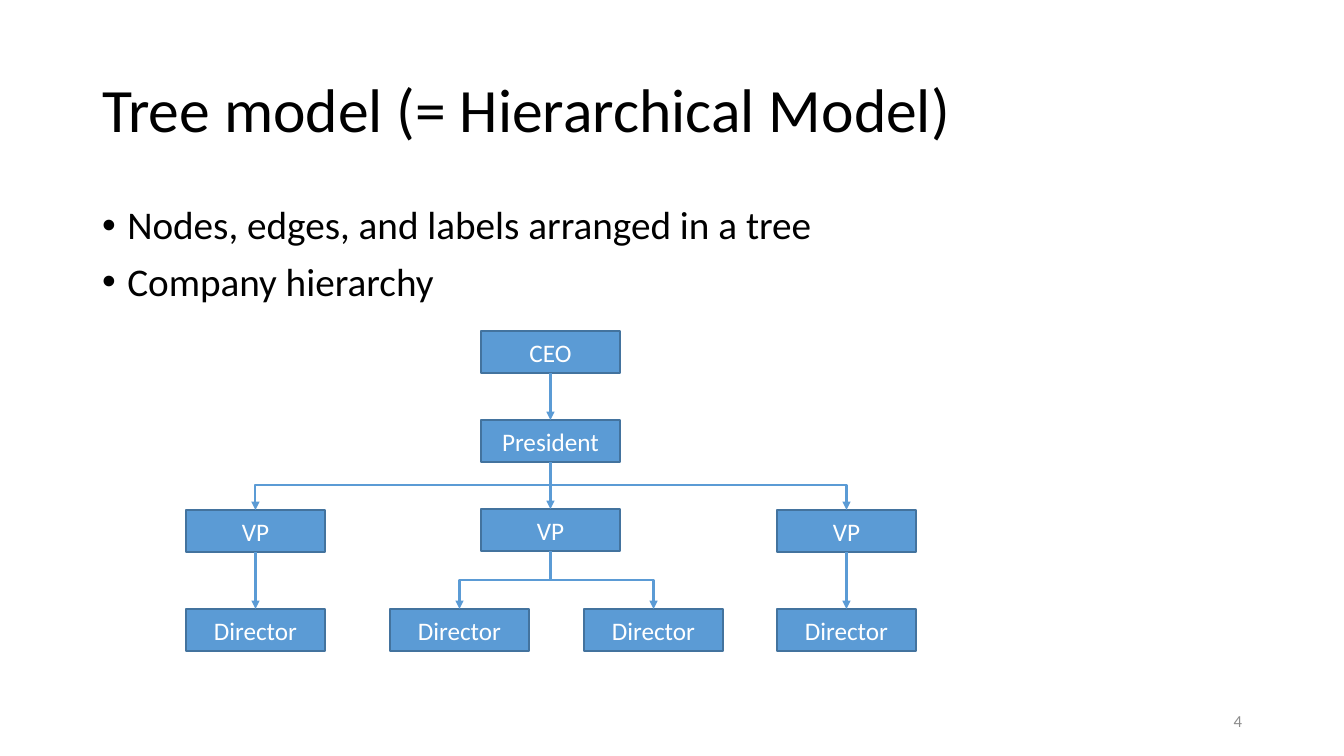
from lxml import etree
from pptx import Presentation, util as u
from pptx.dml.color import RGBColor
from pptx.enum import shapes, text
from pptx.oxml.ns import qn

TITLE = "Tree model (= Hierarchical Model)"
BULLETS = ["Nodes, edges, and labels arranged in a tree", "Company hierarchy"]
NUMBER = "4"
# key: (label, left, top)
NODES = {
    "ceo": ("CEO", 481, 331),
    "president": ("President", 481, 420),
    "vp_left": ("VP", 186, 510),
    "vp_mid": ("VP", 481, 509),
    "vp_right": ("VP", 777, 510),
    "dir_1": ("Director", 186, 609),
    "dir_2": ("Director", 390, 609),
    "dir_3": ("Director", 584, 609),
    "dir_4": ("Director", 777, 609),
}
STRAIGHT = [("ceo", "president"), ("president", "vp_mid"),
            ("vp_left", "dir_1"), ("vp_right", "dir_4")]
SIDE_BRANCHES = ["vp_left", "vp_right"]
FORKS = [("vp_mid", "dir_2"), ("vp_mid", "dir_3")]

NODE_W, NODE_H = 139, 42
BUS_Y = 485
FONT = "Calibri"
COLORS = {"text": "000000", "node": "5B9BD5", "edge": "43739E",
          "label": "FFFFFF", "number": "8C8C8C"}


def px(n):
    return u.Emu(round(n * 914400 / 100.8))


def rgb(name):
    return RGBColor.from_string(COLORS[name])


def place(sp, left, top, width, height):
    sp.left, sp.top, sp.width, sp.height = map(px, (left, top, width, height))


def style(p, size, color, align):
    p.alignment = align
    for r in p.runs:
        r.font.size = u.Pt(size)
        r.font.name = FONT
        r.font.color.rgb = rgb(color)


def add_node(label, left, top):
    sp = slide.shapes.add_shape(shapes.MSO_SHAPE.RECTANGLE,
                                px(left), px(top), px(NODE_W), px(NODE_H))
    sp.shadow.inherit = False
    sp.fill.solid()
    sp.fill.fore_color.rgb = rgb("node")
    sp.line.color.rgb = rgb("edge")
    sp.line.width = u.Pt(1)
    tf = sp.text_frame
    tf.text = label
    tf.vertical_anchor = text.MSO_ANCHOR.MIDDLE
    style(tf.paragraphs[0], 18, "label", text.PP_ALIGN.CENTER)
    return sp


def add_arrow(kind, x1, y1, x2, y2):
    c = slide.shapes.add_connector(kind, px(x1), px(y1), px(x2), px(y2))
    c.line.color.rgb = rgb("node")
    c.line.width = u.Pt(1.5)
    etree.SubElement(c.line._get_or_add_ln(), qn("a:tailEnd"), type="triangle")
    etree.SubElement(c._element.spPr, qn("a:effectLst"))
    return c


def bottom(key):
    _, left, top = NODES[key]
    return left + NODE_W / 2, top + NODE_H


def top_mid(key):
    _, left, top = NODES[key]
    return left + NODE_W / 2, top


def add_fork(parent, child):
    """Elbow that leaves downwards: a turned box with its sides swapped."""
    (x1, y1), (x2, y2) = bottom(parent), top_mid(child)
    c = add_arrow(shapes.MSO_CONNECTOR.ELBOW, x1, y1, x2, y2)
    w, h = y2 - y1, abs(x2 - x1)
    place(c, (x1 + x2 - w) / 2, (y1 + y2 - h) / 2, w, h)
    xfrm = c._element.spPr.find(qn("a:xfrm"))
    to_right = x2 > x1
    xfrm.set("rot", str((270 if to_right else 90) * 60000))
    xfrm.set("flipH", "1" if to_right else "0")


prs = Presentation()
prs.slide_width, prs.slide_height = px(1344), px(756)
slide = prs.slides.add_slide(prs.slide_layouts[1])

title, body = slide.placeholders
place(title, 92, 40, 1160, 146)
tf = title.text_frame
tf.text = TITLE
tf.vertical_anchor = text.MSO_ANCHOR.MIDDLE
tf.auto_size = text.MSO_AUTO_SIZE.NONE
tf.paragraphs[0].line_spacing = 0.9
style(tf.paragraphs[0], 44, "text", text.PP_ALIGN.LEFT)

place(body, 92, 201, 1160, 480)
tf = body.text_frame
tf.text = "\n".join(BULLETS)
tf.auto_size = text.MSO_AUTO_SIZE.NONE
for p in tf.paragraphs:
    p.line_spacing = 0.9
    p.space_before = u.Pt(10)
    style(p, 28, "text", text.PP_ALIGN.LEFT)
    pPr = p._p.get_or_add_pPr()
    pPr.set("marL", str(u.Inches(0.25)))
    pPr.set("indent", str(-u.Inches(0.25)))
    etree.SubElement(pPr, qn("a:buFont"), typeface="Arial")
    etree.SubElement(pPr, qn("a:buChar"), char="•")

boxes = {key: add_node(*node) for key, node in NODES.items()}
for parent, child in STRAIGHT:
    c = add_arrow(shapes.MSO_CONNECTOR.STRAIGHT, *bottom(parent), *top_mid(child))
    c.begin_connect(boxes[parent], 2)
    c.end_connect(boxes[child], 0)
for child in SIDE_BRANCHES:
    c = add_arrow(shapes.MSO_CONNECTOR.ELBOW, bottom("president")[0], BUS_Y,
                  *top_mid(child))
    c._element.spPr.find(qn("a:prstGeom")).set("prst", "bentConnector2")
for parent, child in FORKS:
    add_fork(parent, child)

number = slide.shapes.add_textbox(px(950), px(701), px(302), px(40))
tf = number.text_frame
tf.word_wrap = True
tf.text = NUMBER
tf.vertical_anchor = text.MSO_ANCHOR.MIDDLE
style(tf.paragraphs[0], 12, "number", text.PP_ALIGN.RIGHT)

prs.save("out.pptx")
